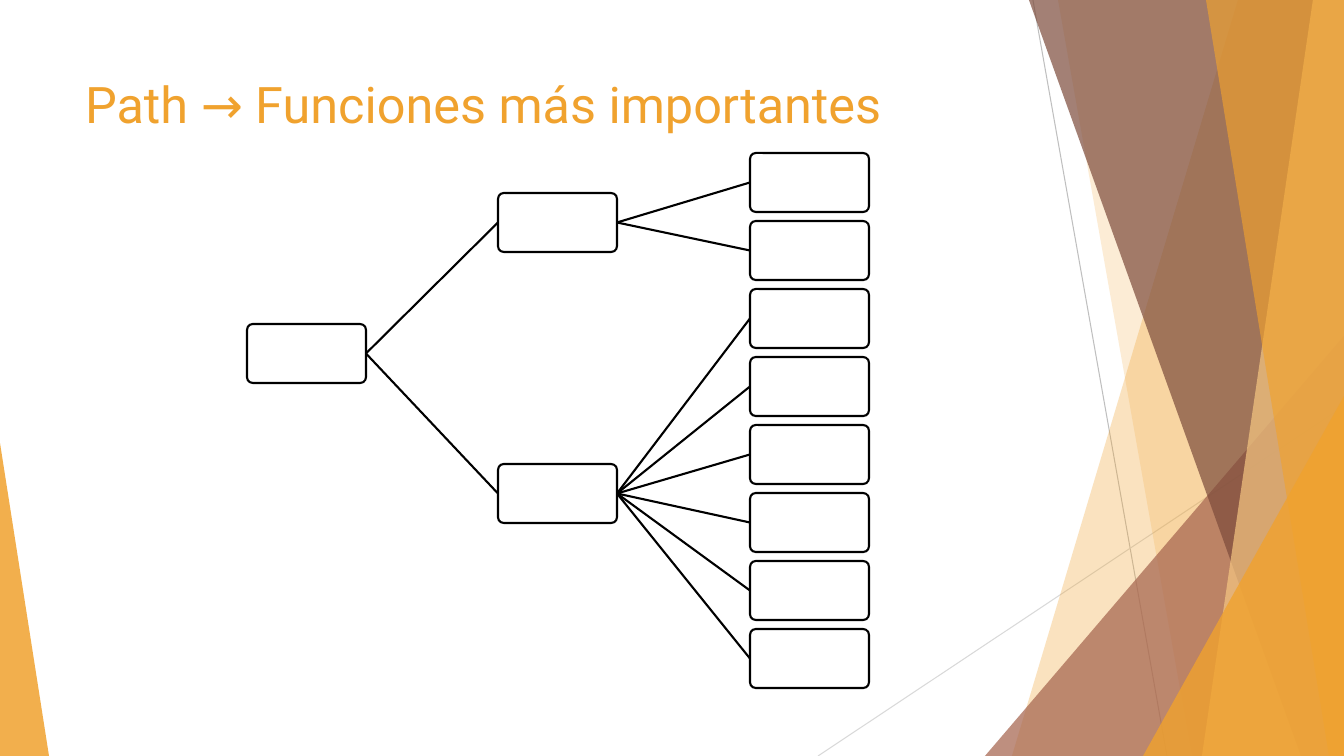
from lxml import etree
from pptx import Presentation
from pptx.dml.color import RGBColor
from pptx.enum.shapes import MSO_CONNECTOR, MSO_SHAPE
from pptx.enum.text import MSO_ANCHOR, MSO_AUTO_SIZE, PP_ALIGN
from pptx.oxml.ns import qn
from pptx.util import Pt

PX = 914400 / 100.8
WIDTH, HEIGHT = 1344, 756
TITLE_ONLY = 5
STRAIGHT = MSO_CONNECTOR.STRAIGHT
TRIANGLE, ROUNDED = MSO_SHAPE.RIGHT_TRIANGLE, MSO_SHAPE.ROUNDED_RECTANGLE
ISOSCELES = MSO_SHAPE.ISOSCELES_TRIANGLE
LEFT_SIDE, RIGHT_SIDE = 1, 3
ORANGE, BLACK, WHITE = "F0A22E", "000000", "FFFFFF"
BOX_WIDTH, BOX_HEIGHT = 119, 59
ROOT_LEFT, BRANCH_LEFT, LEAF_LEFT = 247, 498, 750
ROOT_TOP, LEAF_TOP, LEAF_STEP = 324, 153, 68
BRANCHES = [(193, 2), (464, 6)]
GUIDES = [(1033, 0, 1167, 756, "BFBFBF"), (1344, 406, 818, 756, "D9D9D9")]
BACK_BANDS = [(1238, 1012, ORANGE, 30), (1058, 1192, ORANGE, 20)]
FRONT_BANDS = [(1029, 1301, "7C4B3B", 70), (1313, 1202, "F6C782", 70),
               (1206, 1329, ORANGE, 65)]


def px(length):
    """Turn pixels into EMU."""
    return round(length * PX)


def color(code):
    """Turn a hex string into a colour."""
    return RGBColor.from_string(code)


def fill_plain(shape, code, opacity=100):
    """Fill a shape with one colour at an opacity in percent, without shadow."""
    shape.shadow.inherit = False
    shape.fill.solid()
    shape.fill.fore_color.rgb = color(code)
    if opacity < 100:
        tint = shape.fill._xPr.find(".//" + qn("a:srgbClr"))
        etree.SubElement(tint, qn("a:alpha")).set("val", str(opacity * 1000))


def add_line(page, start, end, code, weight):
    """Draw a straight line between two points."""
    line = page.shapes.add_connector(STRAIGHT, *map(px, start + end))
    line.line.color.rgb = color(code)
    line.line.width = Pt(weight)
    etree.SubElement(line._element.spPr, qn("a:effectLst"))
    return line


def add_band(page, top_x, bottom_x, code, opacity):
    """Draw a full-height band from a slanted edge to the right of the slide."""
    builder = page.shapes.build_freeform(top_x, 0, scale=PX)
    builder.add_line_segments([(WIDTH, 0), (WIDTH, HEIGHT), (bottom_x, HEIGHT)])
    band = builder.convert_to_shape()
    fill_plain(band, code, opacity)
    band.line.fill.background()


def add_triangle(page, left, top, right, apex, code, opacity):
    """Draw a triangle that stands on the bottom of the slide."""
    triangle = page.shapes.add_shape(
        ISOSCELES, *map(px, (left, top, right - left, HEIGHT - top)))
    triangle.adjustments[0] = apex
    fill_plain(triangle, code, opacity)
    triangle.line.fill.background()


def add_decor(page):
    """Draw the facets at both edges of the slide."""
    for x1, y1, x2, y2, code in GUIDES:
        add_line(page, (x1, y1), (x2, y2), code, 0.75)
    for band in BACK_BANDS:
        add_band(page, *band)
    add_triangle(page, 985, 336, WIDTH, 1, "A5644E", 72)
    for band in FRONT_BANDS:
        add_band(page, *band)
    add_triangle(page, 1143, 396, WIDTH, 1, ORANGE, 80)
    add_triangle(page, 0, 443, 49, 0, ORANGE, 85)


def set_title(page, text):
    """Place and format the title."""
    title = page.shapes.title
    place = {"left": 75, "top": 68, "width": 948, "height": 145}
    for name, length in place.items():
        setattr(title, name, px(length))
    frame = title.text_frame
    layout = {"word_wrap": True, "auto_size": MSO_AUTO_SIZE.NONE,
              "vertical_anchor": MSO_ANCHOR.TOP}
    for name, value in layout.items():
        setattr(frame, name, value)
    para = frame.paragraphs[0]
    para.alignment = PP_ALIGN.LEFT
    span = para.add_run()
    span.text = text
    for name, value in {"name": "Roboto", "size": Pt(36)}.items():
        setattr(span.font, name, value)
    span.font.color.rgb = color(ORANGE)


def add_node(page, left, top, parent=None):
    """Draw a tree box and join it to its parent."""
    box = page.shapes.add_shape(
        ROUNDED, *map(px, (left, top, BOX_WIDTH, BOX_HEIGHT)))
    box.adjustments[0] = 0.1
    fill_plain(box, WHITE)
    box.line.color.rgb = color(BLACK)
    box.line.width = Pt(1.5)
    if parent is not None:
        link = add_line(page, (0, 0), (0, 0), BLACK, 1.5)
        link.begin_connect(parent, RIGHT_SIDE)
        link.end_connect(box, LEFT_SIDE)
    return box


def add_tree(page):
    """Draw the root, its branches and their evenly spaced leaves."""
    root = add_node(page, ROOT_LEFT, ROOT_TOP)
    leaf_top = LEAF_TOP
    for branch_top, leaf_count in BRANCHES:
        branch = add_node(page, BRANCH_LEFT, branch_top, root)
        for _ in range(leaf_count):
            add_node(page, LEAF_LEFT, leaf_top, branch)
            leaf_top += LEAF_STEP


def main():
    """Build the slide and save the deck."""
    deck = Presentation()
    deck.slide_width, deck.slide_height = px(WIDTH), px(HEIGHT)
    page = deck.slides.add_slide(deck.slide_layouts[TITLE_ONLY])
    add_decor(page)
    set_title(page, "Path → Funciones más importantes")
    add_tree(page)
    deck.save("out.pptx")


if __name__ == "__main__":
    main()
